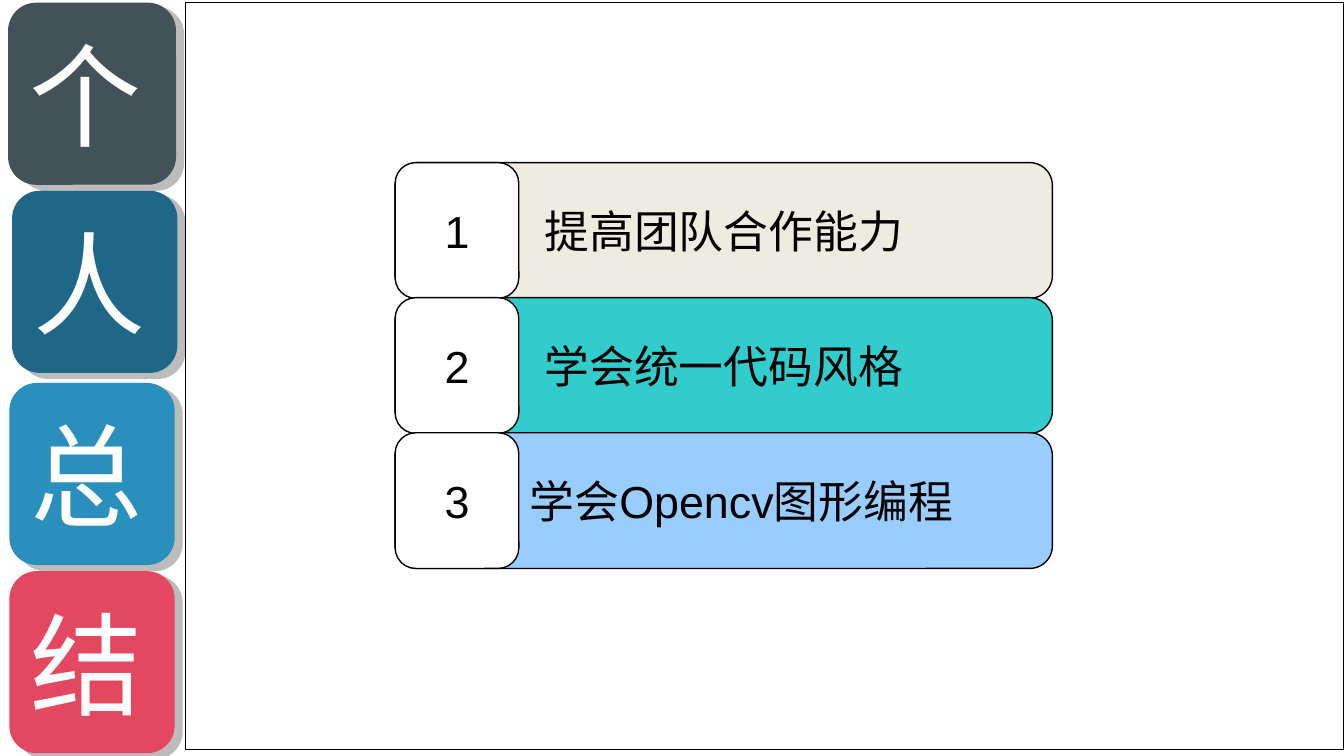
"""Build the personal summary slide: a title in stacked tiles and three numbered lessons."""
import pptx
import pptx.util
import pptx.dml.color
import pptx.enum.shapes
import pptx.enum.text
import pptx.oxml
import pptx.oxml.ns

Pt = pptx.util.Pt
RGB = pptx.dml.color.RGBColor
SHAPE = pptx.enum.shapes.MSO_SHAPE
ALIGN = pptx.enum.text.PP_ALIGN
ANCHOR = pptx.enum.text.MSO_ANCHOR

WIDTH = pptx.util.Inches(10)
HEIGHT = WIDTH * 9 // 16
COLS, ROWS = 1000, 562.5

WHITE, BLACK = RGB(0xFF, 0xFF, 0xFF), RGB(0, 0, 0)
SHADOW = RGB(0xBC, 0xBC, 0xBC)
SLATE, NAVY = RGB(0x43, 0x52, 0x58), RGB(0x1E, 0x67, 0x87)
BLUE, RED = RGB(0x2A, 0x8F, 0xBD), RGB(0xE4, 0x48, 0x60)
CREAM, TEAL = RGB(0xEE, 0xEC, 0xE1), RGB(0x33, 0xCC, 0xCC)
SKY = RGB(0x99, 0xCC, 0xFF)

CJK = "Noto Sans CJK SC"
TILE_FONT = {"name": CJK, "size": Pt(60)}
ROW_FONT = {"name": "Arial", "size": Pt(24)}

TILES = [
    ("个", SLATE, 6, 2, 125),
    ("人", NAVY, 9, 142, 123),
    ("总", BLUE, 7, 285, 123),
    ("结", RED, 7, 425, 123),
]
LESSONS = [("提高团队合作能力", CREAM, 10), ("学会统一代码风格", TEAL, 10), ("学会Opencv图形编程", SKY, 36)]
LIST_LEFT, LIST_TOP, ROW_PITCH, ROW_HEIGHT = 294, 121, 100.5, 101
BAR_WIDTH, NUMBER_WIDTH = 489, 92


def x(cols):
    return round(WIDTH * cols / COLS)


def y(rows):
    return round(HEIGHT * rows / ROWS)


def add_box(shapes, left, top, width, height, fill, line=None, kind=SHAPE.ROUNDED_RECTANGLE):
    sp = shapes.add_shape(kind, x(left), y(top), x(width), y(height))
    sp.shadow.inherit = False
    sp.fill.solid()
    sp.fill.fore_color.rgb = fill
    if kind == SHAPE.ROUNDED_RECTANGLE:
        sp.adjustments[0] = 0.167
    if line is None:
        sp.line.fill.background()
    else:
        sp.line.color.rgb = line
        sp.line.width = Pt(0.75)
    return sp


def add_text(sp, text, font, color, align, wrap, inset=10):
    tf = sp.text_frame
    frame = {"word_wrap": wrap, "vertical_anchor": ANCHOR.MIDDLE, "margin_left": x(inset)}
    for name, value in frame.items():
        setattr(tf, name, value)
    p = tf.paragraphs[0]
    p.alignment = align
    r = p.add_run()
    r.text = text
    for name, value in font.items():
        setattr(r.font, name, value)
    r.font.color.rgb = color
    ea = pptx.oxml.parse_xml(f'<a:ea {pptx.oxml.ns.nsdecls("a")} typeface="{CJK}"/>')
    r.font._element.append(ea)


def add_tile(s, text, color, left, top, width):
    group = s.shapes.add_group_shape()
    right = left + width
    add_box(group.shapes, right - 117, top + 3, 123, 137, SHADOW)
    sp = add_box(group.shapes, left, top, width, 135.5, color)
    add_text(sp, text, TILE_FONT, WHITE, ALIGN.LEFT, True)


def add_list_box(s, row, width, text, fill, inset=10):
    top = LIST_TOP + row * ROW_PITCH
    sp = add_box(s.shapes, LIST_LEFT, top, width, ROW_HEIGHT, fill, BLACK)
    add_text(sp, text, ROW_FONT, BLACK, ALIGN.CENTER, False, inset)


def main():
    prs = pptx.Presentation()
    prs.slide_width, prs.slide_height = WIDTH, HEIGHT
    s = prs.slides.add_slide(prs.slide_layouts[6])
    for tile in TILES:
        add_tile(s, *tile)
    add_box(s.shapes, 138, 2, 862, 556, WHITE, BLACK, SHAPE.RECTANGLE)
    for row, (text, color, inset) in enumerate(LESSONS):
        add_list_box(s, row, BAR_WIDTH, text, color, inset)
    for row in range(len(LESSONS)):
        add_list_box(s, row, NUMBER_WIDTH, str(row + 1), WHITE)
    prs.save("out.pptx")


if __name__ == "__main__":
    main()
